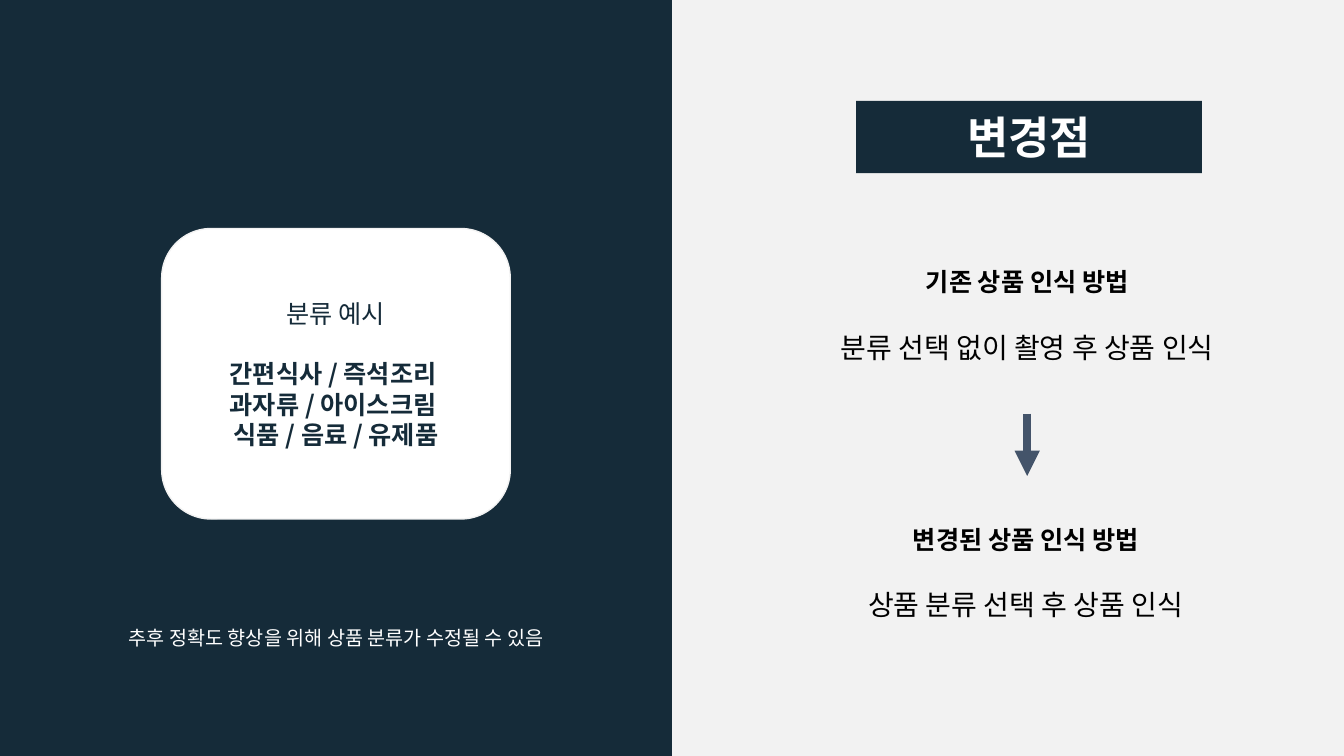
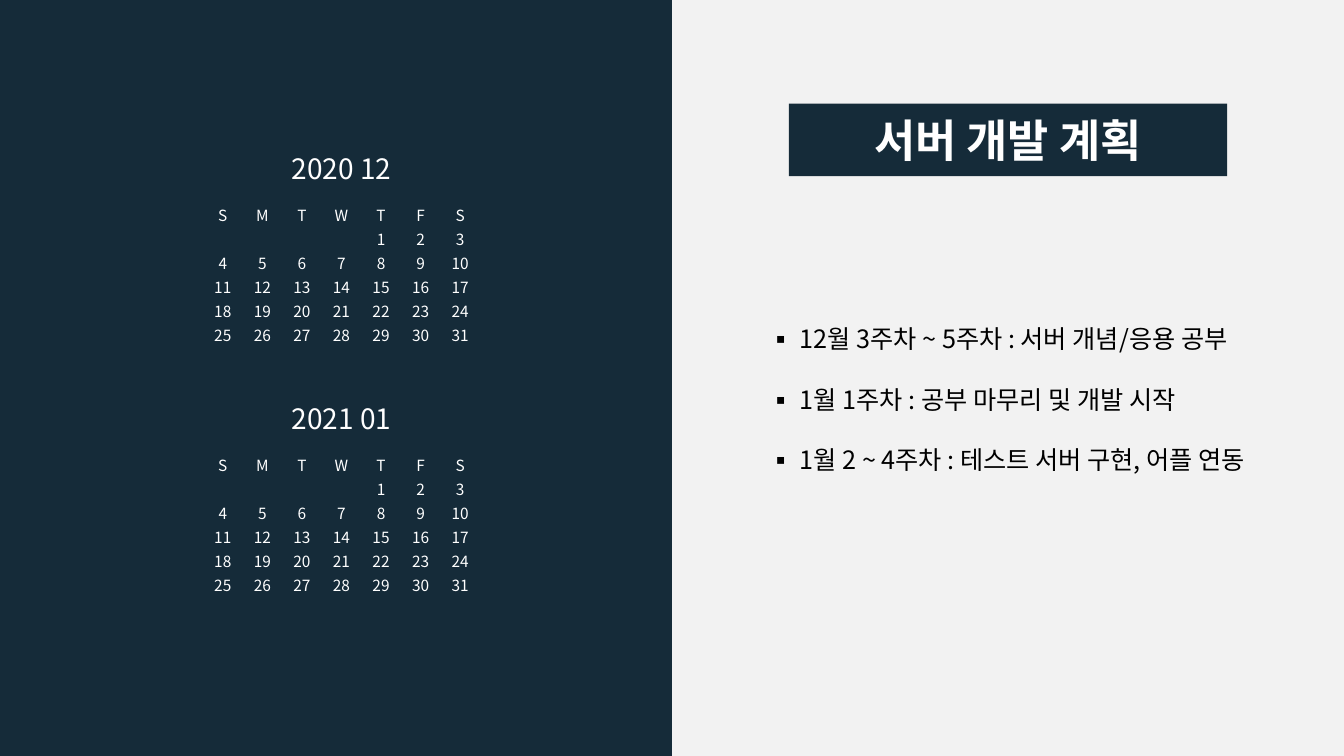
from lxml.etree import SubElement
from pptx import Presentation
from pptx.dml.color import RGBColor
from pptx.enum.shapes import MSO_CONNECTOR as Link, MSO_SHAPE as Kind
from pptx.enum.text import MSO_ANCHOR as Anchor, MSO_AUTO_SIZE as Fit, PP_ALIGN as Align
from pptx.oxml.ns import qn
from pptx.util import Pt

FONT = "Noto Sans CJK KR"
NAVY, WHITE, PALE, BLACK, SLATE = "152B39", "FFFFFF", "F2F2F2", "000000", "44546A"
WIDE, HIGH = 960, 540
PLAIN = "{2D5ABB26-0587-4C30-8999-92F81FD0307C}"
LEAD = 1.2


def paint(part, color):
    part.solid()
    part.fore_color.rgb = RGBColor.from_string(color)


def place(shape, box):
    shape.left, shape.top, shape.width, shape.height = map(Pt, box)


def style(para, size, color, bold=False, align=Align.CENTER, gap=0, lead=LEAD):
    para.alignment = align
    para.line_spacing = Pt(round(size * lead, 2))
    para.space_before = Pt(gap)
    para.space_after = Pt(0)
    font = para.font
    font.name, font.size, font.bold = FONT, Pt(size), bold
    font.color.rgb = RGBColor.from_string(color)
    base = para._p.pPr.find(qn("a:defRPr"))
    SubElement(base, qn("a:ea")).set("typeface", FONT)


def bullet(para, indent):
    props = para._p.get_or_add_pPr()
    props.set("marL", str(Pt(indent)))
    props.set("indent", str(-Pt(indent)))
    SubElement(props, qn("a:buFont")).set("typeface", FONT)
    SubElement(props, qn("a:buChar")).set("char", "▪")


def write(frame, lines):
    frame.word_wrap = True
    for num, (text, look) in enumerate(lines):
        para = frame.add_paragraph() if num else frame.paragraphs[0]
        para.text = text
        style(para, **look)


def label(slide, box, lines, anchor=Anchor.TOP):
    frame = slide.shapes.add_textbox(*map(Pt, box)).text_frame
    frame.vertical_anchor = anchor
    write(frame, lines)


def block(slide, kind, box, fill, line=None):
    shape = slide.shapes.add_shape(kind, *map(Pt, box))
    shape.shadow.inherit = False
    paint(shape.fill, fill)
    if line:
        paint(shape.line.fill, line)
        shape.line.width = Pt(1)
    else:
        shape.line.fill.background()
    return shape


def arrow(slide, x, top, end):
    line = slide.shapes.add_connector(Link.STRAIGHT, Pt(x), Pt(top), Pt(x), Pt(end))
    paint(line.line.fill, SLATE)
    line.line.width = Pt(6)
    SubElement(line.line._get_or_add_ln(), qn("a:tailEnd")).set("type", "triangle")
    SubElement(line._element.spPr, qn("a:effectLst"))


def start(deck, layout, title, box):
    slide = deck.slides.add_slide(deck.slide_layouts[layout])
    block(slide, Kind.RECTANGLE, (0, 0, WIDE / 2, HIGH), NAVY)
    head = slide.shapes.title
    place(head, box)
    paint(head.fill, NAVY)
    frame = head.text_frame
    frame.auto_size = Fit.NONE
    frame.vertical_anchor = Anchor.MIDDLE
    write(frame, [(title, dict(size=32, color=WHITE, bold=True))])
    return slide


def month(slide, name, top):
    left, wide = 145, 198
    label(slide, (left, top, wide, 37.5),
          [(name, dict(size=20, color=WHITE, lead=LEAD * 0.9))])
    table = slide.shapes.add_table(7, 7, Pt(left), Pt(top + 38.75),
                                   Pt(wide), Pt(119.5)).table
    table.first_row = table.horz_banding = False
    table._tbl.tblPr.find(qn("a:tableStyleId")).text = PLAIN
    for r, row in enumerate(table.rows):
        row.height = Pt(17.15 if r else 16.6)
        for c, cell in enumerate(row.cells):
            day = 7 * (r - 1) + c - 3
            text = str(day) if 1 <= day <= 31 else ""
            cell.fill.background()
            cell.vertical_anchor = Anchor.BOTTOM
            cell.margin_left = cell.margin_right = Pt(2.7)
            cell.margin_top = cell.margin_bottom = Pt(1.35)
            write(cell.text_frame,
                  [(text if r else "SMTWTFS"[c], dict(size=11, color=WHITE))])


def change(deck):
    slide = start(deck, 5, "변경점", (611.5, 72, 247, 51.75))
    card = block(slide, Kind.ROUNDED_RECTANGLE, (115.5, 163.25, 249, 207.5), WHITE, PALE)
    card.adjustments[0] = 0.17
    card.text_frame.vertical_anchor = Anchor.MIDDLE
    bold = dict(size=18, color=NAVY, bold=True)
    write(card.text_frame, [
        ("분류 예시", dict(size=18, color=NAVY)),
        ("간편식사 / 즉석조리 ", dict(bold, gap=21.6)),
        ("과자류 / 아이스크림 ", bold),
        ("식품 / 음료 / 유제품", bold),
    ])
    for left, top, wide, head, text in [
        (566, 187, 335.5, "기존 상품 인식 방법", "분류 선택 없이 촬영 후 상품 인식"),
        (564, 370.75, 337.5, "변경된 상품 인식 방법", "상품 분류 선택 후 상품 인식"),
    ]:
        label(slide, (left, top, wide, 79), [
            (head, dict(size=18, color=BLACK, bold=True)),
            (text, dict(size=20, color=BLACK, gap=24)),
        ])
    arrow(slide, 733.75, 295.5, 340)
    label(slide, (19.5, 440.5, 441.5, 30),
          [("추후 정확도 향상을 위해 상품 분류가 수정될 수 있음", dict(size=14, color=WHITE))],
          Anchor.MIDDLE)


def plan(deck):
    slide = start(deck, 1, "서버 개발 계획", (563.5, 74, 313, 51.75))
    body = slide.placeholders[1]
    place(body, (541.5, 227.5, 387.5, 116.5))
    frame = body.text_frame
    frame.auto_size = Fit.NONE
    frame.word_wrap = True
    frame.vertical_anchor = Anchor.TOP
    tasks = ["12월 3주차 ~ 5주차 : 서버 개념/응용 공부",
             "1월 1주차 : 공부 마무리 및 개발 시작",
             "1월 2 ~ 4주차 : 테스트 서버 구현, 어플 연동"]
    for num, task in enumerate(tasks):
        para = frame.add_paragraph() if num else frame.paragraphs[0]
        para.text = task
        bullet(para, 22.5)
        style(para, 18, BLACK, align=Align.LEFT, gap=21.6 if num else 0)
    month(slide, "2020 12", 107.25)
    month(slide, "2021 01", 286)


def main():
    deck = Presentation()
    deck.slide_width, deck.slide_height = Pt(WIDE), Pt(HIGH)
    paint(deck.slide_master.background.fill, PALE)
    change(deck)
    plan(deck)
    deck.save("out.pptx")


if __name__ == "__main__":
    main()
